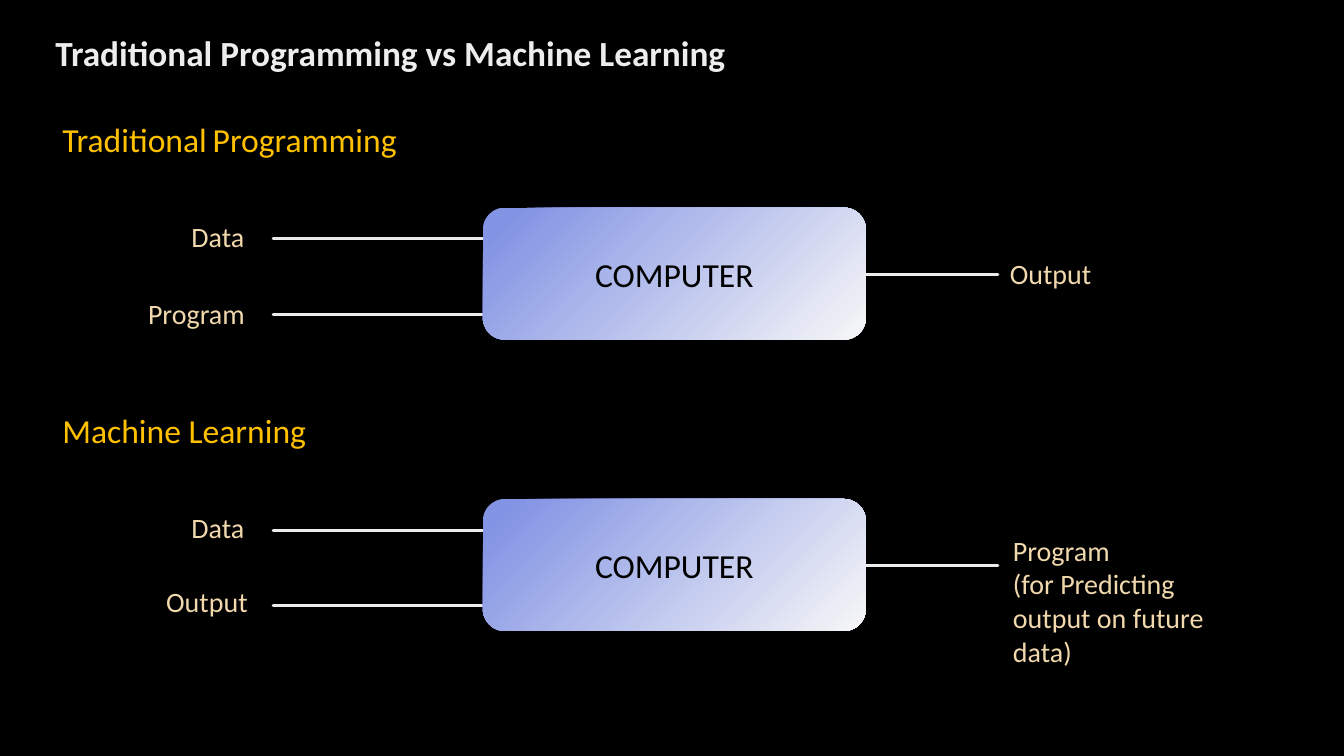
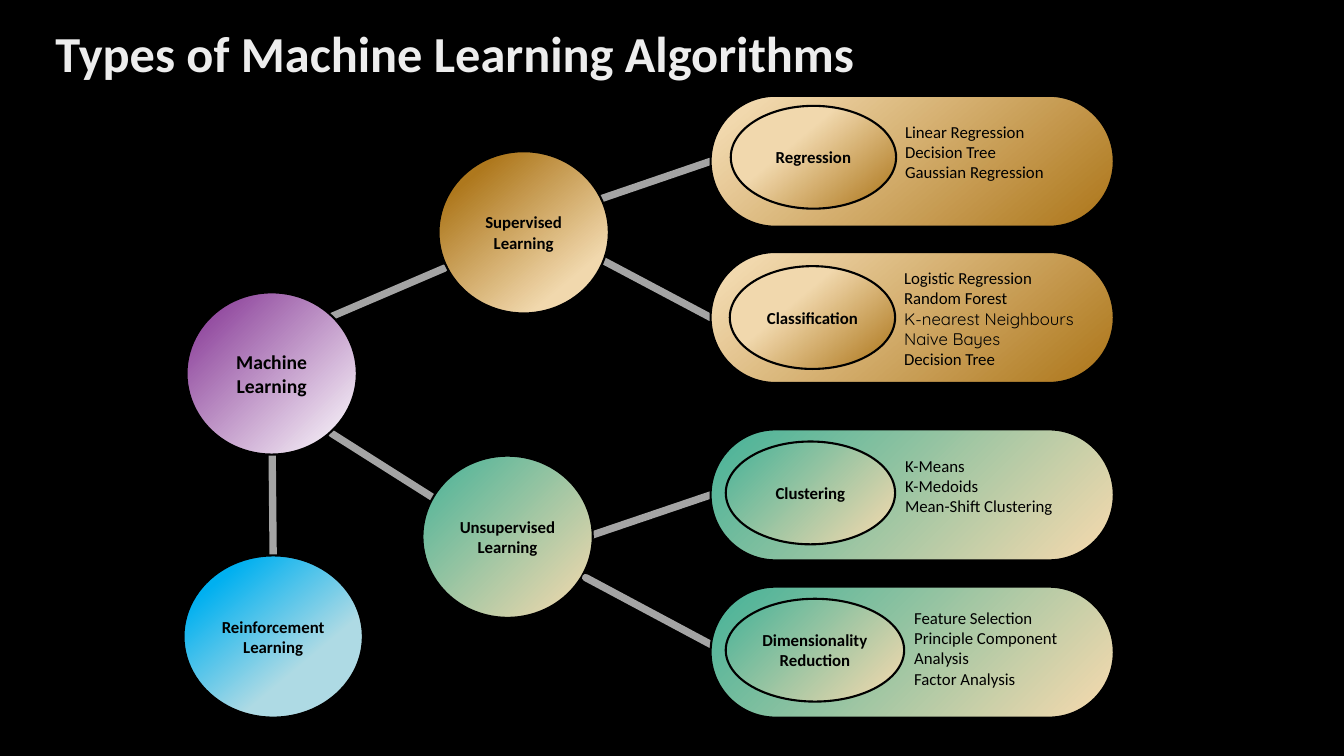
from dataclasses import dataclass

from lxml.etree import SubElement
from pptx import Presentation
from pptx.dml.color import RGBColor
from pptx.dml.fill import FillFormat
from pptx.enum.shapes import MSO_CONNECTOR, MSO_SHAPE
from pptx.enum.text import MSO_ANCHOR, MSO_AUTO_SIZE, PP_ALIGN
from pptx.oxml.ns import qn
from pptx.shapes.autoshape import Shape
from pptx.slide import Slide
from pptx.text.text import TextFrame
from pptx.util import Inches, Length, Pt

# Shared style
BLACK, TITLE_GREY, HEADING_GOLD, LABEL_SAND = "000000", "EDEDED", "FFC000", "F1D8AD"
FLOW_LINE, LINK_LINE = "EBEBEB", "F2F2F2"
FONT, ALT_FONT = "Calibri", "Quicksand"

# The page grid has square cells, a tenth of an inch wide
COLUMNS, ROWS = 133.33, 75


@dataclass(frozen=True)
class Area:
    """Left column, top row, width in columns and height in rows."""
    left: float
    top: float
    width: float
    height: float

    def moved(self, columns: float, rows: float) -> "Area":
        return Area(self.left + columns, self.top + rows, self.width, self.height)


@dataclass(frozen=True)
class Gradient:
    start: str
    end: str
    start_at: float
    end_at: float
    angle: int


@dataclass(frozen=True)
class Span:
    text: str
    size: float
    color: str = BLACK
    bold: bool = False
    font: str = FONT


@dataclass(frozen=True)
class Label:
    area: Area
    lines: tuple[str, ...]


@dataclass(frozen=True)
class Flow:
    top: float
    heading: tuple[Span, ...]
    inputs: tuple[Label, ...]
    output: Label


@dataclass(frozen=True)
class Link:
    start: tuple[float, float]
    end: tuple[float, float]


@dataclass(frozen=True)
class Circle:
    label: Label
    fill: Gradient
    size: float = 12


@dataclass(frozen=True)
class Pill:
    top: float
    fill: Gradient
    badge: Circle
    methods: Label


Paragraphs = list[tuple[Span, ...]]

COMPUTER_FILL = Gradient("8394E4", "F7F7F7", 0.07, 1, 45)
PURPLE = Gradient("812F91", "FFFFFF", 0, 1, 45)
BLUE = Gradient("00B0F0", "AEDAE4", 0.17, 0.67, 50)
GREEN = Gradient("46B298", "F1D8AD", 0, 0.96, 45)
BRONZE = Gradient("AE781D", "F1D8AD", 0.17, 0.79, 50)
SAND = Gradient("F1D8AD", "AE781D", 0.09, 0.97, 50)
SAND_BADGE = Gradient("F1D8AD", "AE781D", 0.37, 0.97, 50)

# Slide 1: rows are counted from the top of each flow
COMPUTER = Area(47.9, 9.3, 38, 13.1)
HEADING = Area(5.2, 0, 66.7, 5)
FIRST_INPUT, INPUT_GAP, OUTPUT_ROW = 12.4, 7.5, 15.9
INPUT_START, OUTPUT_END = 27.1, 99
DATA = Label(Area(18, 10, 10.2, 4.4), ("Data",))
FLOWS = (
    Flow(11.3,
         (Span("Traditional", 24, HEADING_GOLD), Span(" ", 18, HEADING_GOLD),
          Span("Programming", 24, HEADING_GOLD)),
         (DATA, Label(Area(13.7, 17.6, 14.5, 4.4), ("Program",))),
         Label(Area(99.2, 13.7, 11.6, 4.4), ("Output",))),
    Flow(40.2,
         (Span("Machine Learning", 24, HEADING_GOLD),),
         (DATA, Label(Area(15.5, 17.3, 14.5, 4.4), ("Output",))),
         Label(Area(99.5, 12.2, 22.9, 14.5),
               ("Program", "(for Predicting output on future data)"))),
)

# Slide 2
LINKS = (
    Link((58.7, 53.1), (70.5, 49.1)),
    Link((27, 45.1), (27.1, 55.1)),
    Link((57.3, 24.5), (70.5, 31.5)),
    Link((58.8, 20), (70.5, 16)),
    Link((32.9, 43), (43, 49.4)),
    Link((32.9, 31.4), (44.1, 26.6)),
)
FRONT_LINK = Link((58.1, 57.3), (71.2, 64.3))
CIRCLES = (
    Circle(Label(Area(18.5, 29, 16.9, 16.1), ("Machine Learning",)), PURPLE, 14),
    Circle(Label(Area(41.9, 45.2, 16.9, 16.1), ("Unsupervised", "Learning")), GREEN),
    Circle(Label(Area(43.5, 15, 16.9, 16.1), ("Supervised", "Learning")), BRONZE),
    Circle(Label(Area(18.2, 55.1, 17.8, 16.1), ("Reinforcement", "Learning")), BLUE),
)
PILL = Area(70.5, 0, 40, 13)
PILLS = (
    Pill(9.5, SAND,
         Circle(Label(Area(72.5, 10.5, 16.4, 10.2), ("Regression",)), SAND_BADGE),
         Label(Area(88.8, 11.6, 19.5, 7.1),
               ("Linear Regression", "Decision Tree", "Gaussian Regression"))),
    Pill(25, SAND,
         Circle(Label(Area(72.4, 26.4, 16.4, 10.2), ("Classification",)), SAND_BADGE),
         Label(Area(88.7, 26.1, 19.5, 13.1),
               ("Logistic Regression", "Random Forest", "K-nearest Neighbours",
                "Naive Bayes", "Decision Tree"))),
    Pill(42.6, GREEN,
         Circle(Label(Area(72, 43.8, 16.8, 10.2), ("Clustering",)), GREEN),
         Label(Area(88.8, 44.7, 19.5, 7.1),
               ("K-Means", "K-Medoids", "Mean-Shift Clustering"))),
    Pill(58.2, GREEN,
         Circle(Label(Area(72, 59.4, 17.7, 10.2), ("Dimensionality", "Reduction")), GREEN),
         Label(Area(89.7, 59.8, 19.5, 9.1),
               ("Feature Selection", "Principle Component", "Analysis", "Factor Analysis"))),
)
ALT_FONT_METHODS = {"K-nearest Neighbours", "Naive Bayes"}


def cells(count: float) -> Length:
    return Inches(count / 10)


def box_of(area: Area) -> tuple[Length, ...]:
    return tuple(cells(n) for n in (area.left, area.top, area.width, area.height))


def rgb(color: str) -> RGBColor:
    return RGBColor.from_string(color)


def paint(fill: FillFormat, gradient: Gradient) -> None:
    fill.gradient()
    fill.gradient_angle = 360 - gradient.angle
    first, last = fill.gradient_stops
    first.color.rgb, first.position = rgb(gradient.start), gradient.start_at
    last.color.rgb, last.position = rgb(gradient.end), gradient.end_at


def write(frame: TextFrame, paragraphs: Paragraphs, align: PP_ALIGN = PP_ALIGN.LEFT) -> None:
    frame.word_wrap = True
    for index, spans in enumerate(paragraphs):
        para = frame.paragraphs[0] if index == 0 else frame.add_paragraph()
        para.alignment = align
        for span in spans:
            run = para.add_run()
            run.text = span.text
            run.font.name, run.font.size, run.font.bold = span.font, Pt(span.size), span.bold
            run.font.color.rgb = rgb(span.color)


def add_page(deck: Presentation, title: str, width: float, size: float) -> Slide:
    page = deck.slides.add_slide(deck.slide_layouts.get_by_name("Title Only"))
    heading = page.shapes.title
    heading.left, heading.top, heading.width, heading.height = box_of(Area(4.5, 1.9, width, 6.6))
    frame = heading.text_frame
    frame.auto_size = MSO_AUTO_SIZE.NONE
    frame.vertical_anchor = MSO_ANCHOR.MIDDLE
    write(frame, [(Span(title, size, TITLE_GREY, True),)])
    frame.paragraphs[0].space_after = Pt(6)
    return page


def add_text(page: Slide, area: Area, paragraphs: Paragraphs) -> None:
    box = page.shapes.add_textbox(*box_of(area))
    write(box.text_frame, paragraphs)


def add_solid(page: Slide, kind: MSO_SHAPE, area: Area, fill: Gradient, outlined: bool) -> Shape:
    solid = page.shapes.add_shape(kind, *box_of(area))
    solid.shadow.inherit = False
    paint(solid.fill, fill)
    if outlined:
        solid.line.color.rgb = rgb(BLACK)
        solid.line.width = Pt(1.5)
    else:
        solid.line.fill.background()
    return solid


def center_text(solid: Shape, paragraphs: Paragraphs) -> None:
    frame = solid.text_frame
    frame.margin_left = frame.margin_right = Inches(0.05)
    frame.vertical_anchor = MSO_ANCHOR.MIDDLE
    write(frame, paragraphs, PP_ALIGN.CENTER)


def add_link(page: Slide, link: Link, color: str, weight: float, opacity: int = 100) -> None:
    ends = [cells(n) for n in (*link.start, *link.end)]
    connector = page.shapes.add_connector(MSO_CONNECTOR.STRAIGHT, *ends)
    connector.line.color.rgb = rgb(color)
    connector.line.width = Pt(weight)
    properties = connector._element.spPr
    outline = properties.find(qn("a:ln"))
    outline.set("cap", "rnd")
    if opacity < 100:
        tone = next(outline.iter(qn("a:srgbClr")))
        SubElement(tone, qn("a:alpha")).set("val", str(opacity * 1000))
    SubElement(properties, qn("a:effectLst"))


def add_flow(page: Slide, flow: Flow) -> None:
    add_text(page, HEADING.moved(0, flow.top), [flow.heading])
    for label in (*flow.inputs, flow.output):
        add_text(page, label.area.moved(0, flow.top),
                 [(Span(line, 20, LABEL_SAND),) for line in label.lines])
    for index in range(len(flow.inputs)):
        row = flow.top + FIRST_INPUT + index * INPUT_GAP
        add_link(page, Link((INPUT_START, row), (COMPUTER.left, row)), FLOW_LINE, 2)
    computer = add_solid(page, MSO_SHAPE.FLOWCHART_ALTERNATE_PROCESS,
                         COMPUTER.moved(0, flow.top), COMPUTER_FILL, False)
    center_text(computer, [(Span("COMPUTER", 24),)])
    row = flow.top + OUTPUT_ROW
    add_link(page, Link((COMPUTER.left + COMPUTER.width, row), (OUTPUT_END, row)), FLOW_LINE, 2)


def add_circle(page: Slide, circle: Circle) -> None:
    solid = add_solid(page, MSO_SHAPE.OVAL, circle.label.area, circle.fill, True)
    center_text(solid, [(Span(line, circle.size, bold=True),) for line in circle.label.lines])


def add_pill(page: Slide, pill: Pill) -> None:
    add_solid(page, MSO_SHAPE.FLOWCHART_TERMINATOR, PILL.moved(0, pill.top), pill.fill, True)
    add_circle(page, pill.badge)
    add_text(page, pill.methods.area,
             [(Span(line, 12, font=ALT_FONT if line in ALT_FONT_METHODS else FONT),)
              for line in pill.methods.lines])


def main() -> None:
    deck = Presentation()
    deck.slide_width, deck.slide_height = cells(COLUMNS), cells(ROWS)
    background = deck.slide_master.background.fill
    background.solid()
    background.fore_color.rgb = rgb(BLACK)

    # Two flows, one above the other
    page = add_page(deck, "Traditional Programming vs Machine Learning", 76.1, 25.2)
    for flow in FLOWS:
        add_flow(page, flow)

    # Tree of algorithm types
    page = add_page(deck, "Types of Machine Learning Algorithms", 87.4, 36)
    for link in LINKS:
        add_link(page, link, LINK_LINE, 5.25, 67)
    for circle in CIRCLES:
        add_circle(page, circle)
    add_link(page, FRONT_LINK, LINK_LINE, 5.25, 67)
    for pill in PILLS:
        add_pill(page, pill)

    deck.save("out.pptx")


if __name__ == "__main__":
    main()
